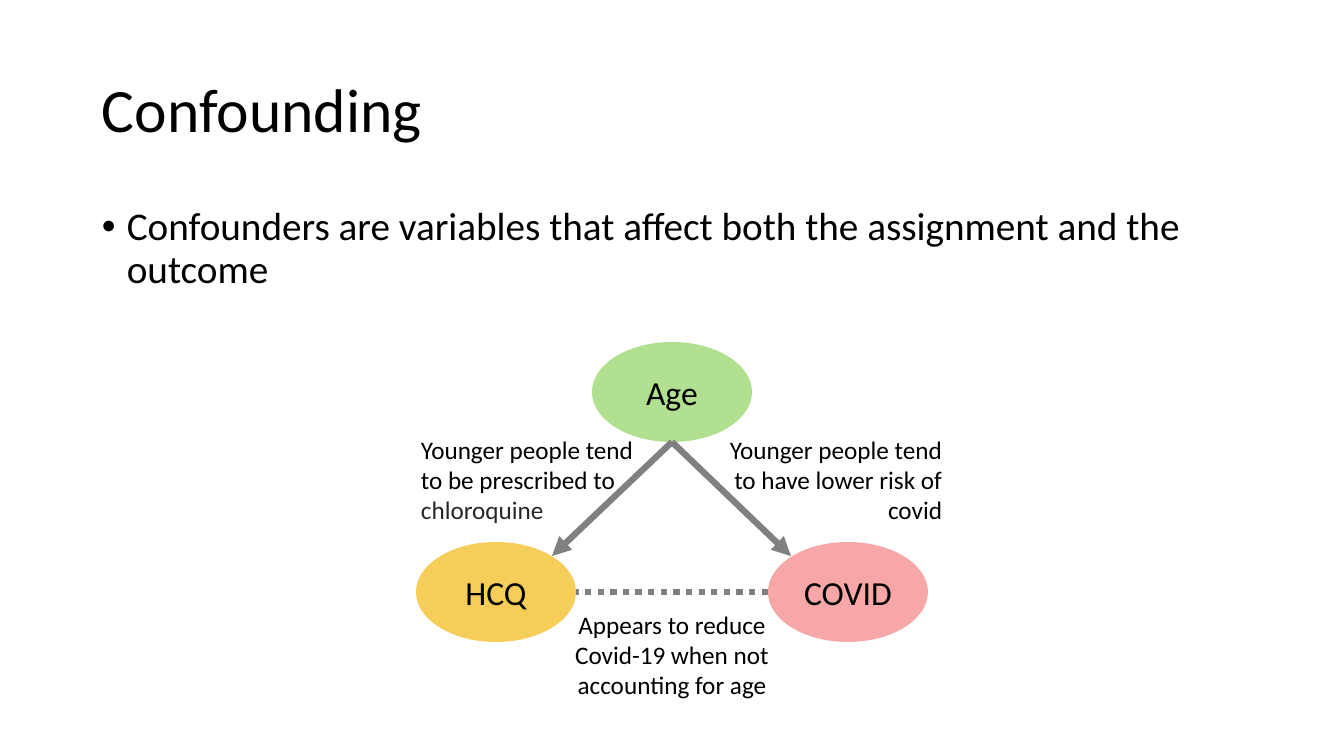
from lxml.etree import SubElement
from pptx import Presentation
from pptx.dml.color import RGBColor
from pptx.enum.dml import MSO_LINE
from pptx.enum.shapes import MSO_CONNECTOR, MSO_SHAPE
from pptx.enum.text import MSO_ANCHOR as ANCHOR, PP_ALIGN as ALIGN
from pptx.oxml.ns import qn
from pptx.util import Pt

SCALE = 914400 / 100.8
FONT = "Calibri"
BLACK = "000000"
GRAY = "808080"
NODE_WIDTH, NODE_HEIGHT = 160, 100


def px(*lengths):
    """Turn pixel lengths into a list of EMU."""
    return [round(length * SCALE) for length in lengths]


def color(value):
    """Turn a hex string into a colour."""
    return RGBColor.from_string(value)


def write(frame, runs, size, align=ALIGN.LEFT, anchor=ANCHOR.TOP):
    """Fill a text frame with one paragraph of (text, colour) runs."""
    frame.word_wrap = True
    frame.vertical_anchor = anchor
    paragraph = frame.paragraphs[0]
    paragraph.alignment = align
    for text, run_color in runs:
        run = paragraph.add_run()
        run.text = text
        run.font.name = FONT
        run.font.size = Pt(size)
        run.font.color.rgb = color(run_color)
    return paragraph


def add_text(slide, box, runs, size, **layout):
    """Add a text box and return its paragraph."""
    shape = slide.shapes.add_textbox(*px(*box))
    return write(shape.text_frame, runs, size, **layout)


def add_bullet(paragraph, indent):
    """Give a paragraph a bullet with a hanging indent in pixels."""
    properties = paragraph._p.get_or_add_pPr()
    (margin,) = px(indent)
    properties.set("marL", str(margin))
    properties.set("indent", str(-margin))
    SubElement(properties, qn("a:buFont")).set("typeface", "Arial")
    SubElement(properties, qn("a:buChar")).set("char", "•")


def add_node(slide, left, top, label, fill):
    """Add a labelled ellipse of the diagram."""
    box = px(left, top, NODE_WIDTH, NODE_HEIGHT)
    shape = slide.shapes.add_shape(MSO_SHAPE.OVAL, *box)
    shape.shadow.inherit = False
    shape.fill.solid()
    shape.fill.fore_color.rgb = color(fill)
    shape.line.fill.background()
    write(shape.text_frame, [(label, BLACK)], 24, ALIGN.CENTER, ANCHOR.MIDDLE)


def add_link(slide, start, end, dotted=False):
    """Add an arrow, or a dotted line without a head."""
    connector = slide.shapes.add_connector(MSO_CONNECTOR.STRAIGHT, *px(*start, *end))
    connector.line.width = Pt(4.5)
    connector.line.color.rgb = color(GRAY)
    properties = connector._element.spPr
    if dotted:
        connector.line.dash_style = MSO_LINE.ROUND_DOT
    else:
        SubElement(properties.find(qn("a:ln")), qn("a:tailEnd")).set("type", "triangle")
    SubElement(properties, qn("a:effectLst"))


def main():
    """Build the confounding slide."""
    presentation = Presentation()
    presentation.slide_width, presentation.slide_height = px(1344, 756)
    slide = presentation.slides.add_slide(presentation.slide_layouts[6])

    title = add_text(slide, (92, 40, 1160, 146), [("Confounding", BLACK)], 44,
                     anchor=ANCHOR.MIDDLE)
    title.line_spacing = 0.9
    definition = "Confounders are variables that affect both the assignment and the outcome"
    body = add_text(slide, (92, 202, 1160, 480), [(definition, BLACK)], 28)
    body.line_spacing = 0.9
    body.space_before = Pt(10)
    add_bullet(body, 25)

    add_node(slide, 416, 542, "HCQ", "F7CD59")
    add_node(slide, 768, 542, "COVID", "F7A7A7")
    add_node(slide, 592, 342, "Age", "B0E090")

    age_bottom = (672, 442)
    for target in ((552, 556), (791, 556)):
        add_link(slide, age_bottom, target)
    add_link(slide, (768, 592), (576, 592), dotted=True)

    captions = (
        (411, 429, ALIGN.LEFT, [("Younger people tend to be prescribed to ", BLACK),
                                ("chloroquine", "262626")]),
        (712, 429, ALIGN.RIGHT, [("Younger people tend to have lower risk of covid", BLACK)]),
        (552, 604, ALIGN.CENTER, [("Appears to reduce Covid-19 when not accounting for age",
                                   BLACK)]),
    )
    for left, top, align, runs in captions:
        add_text(slide, (left, top, 240, 102), runs, 18, align=align)

    presentation.save("out.pptx")


main()
